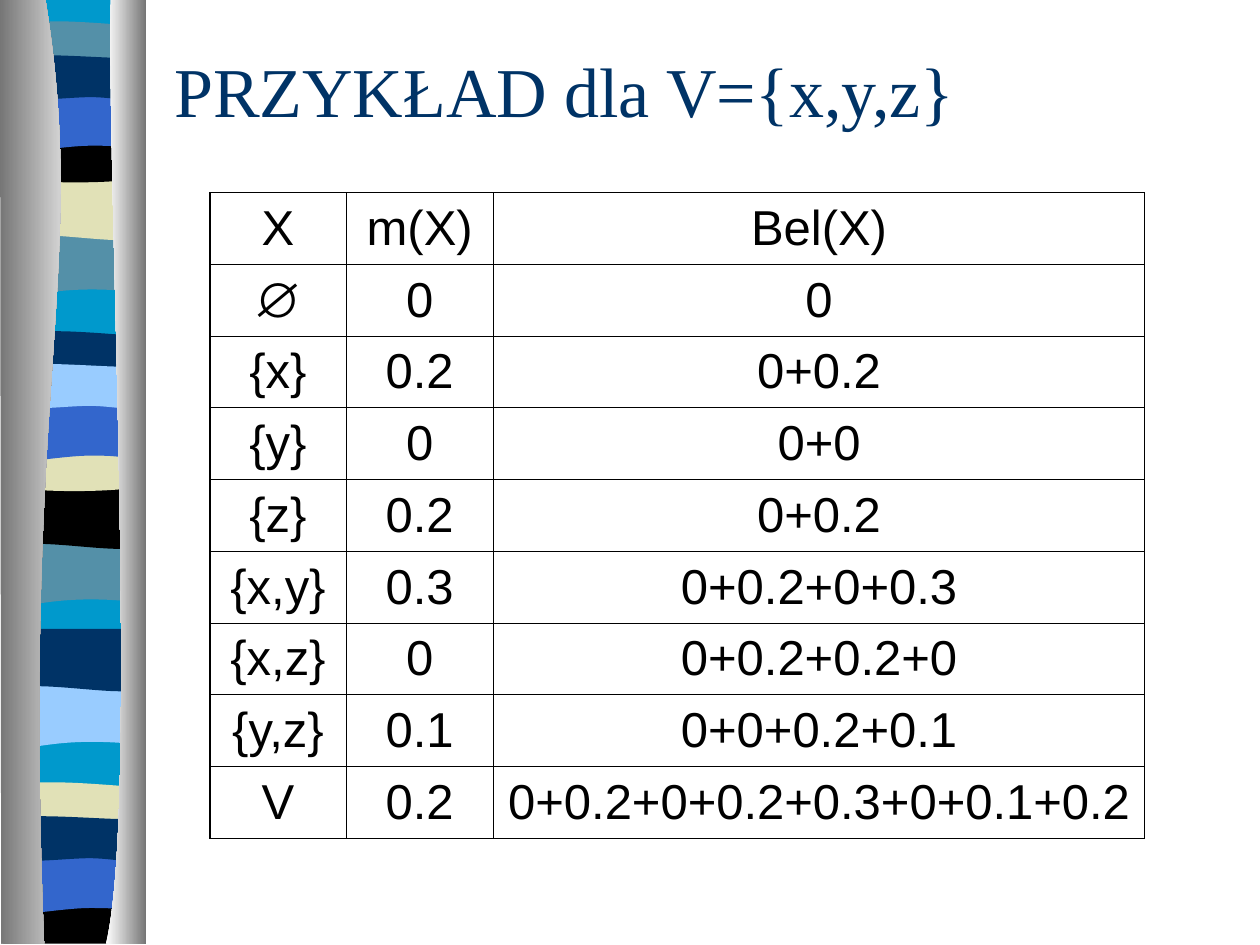
from lxml import etree
from pptx import Presentation
from pptx.dml.color import RGBColor
from pptx.enum import text
from pptx.oxml import ns
from pptx.util import Pt

BLACK = RGBColor(0x00, 0x00, 0x00)
WHITE = RGBColor(0xFF, 0xFF, 0xFF)
GREY = RGBColor(0x76, 0x76, 0x76)
NAVY = RGBColor(0x00, 0x33, 0x66)
BLUE = RGBColor(0x33, 0x66, 0xCC)
CYAN = RGBColor(0x00, 0x99, 0xCC)
SKY = RGBColor(0x99, 0xCC, 0xFF)
TEAL = RGBColor(0x54, 0x90, 0xA8)
SAND = RGBColor(0xE1, 0xE1, 0xB7)

THICK, THIN = 1.08, 0.45

# Each outline starts at its first point; a 2-tuple is a line, a 6-tuple a cubic curve.
W = 77.8
BOWL_TOP = (47.5, 3.6, 61.2, 0, W, 0)
OUTLINES = {
    "base": [(W, 0), (W, 538.6), (0, 538.6), (0, 0)],
    "wave": [(W, 0), (W, 34), (23.8, 28, 13, 39.6, 0, 34), (0, 0)],
    "sag": [(W, 0), (W, 34), (64.8, 39.6, 23.8, 29.5, 0, 34), (0, 0)],
    "ribbon": [(W, 3.6), (W, 21), (64.8, 24, 13, 24, 0, 21), (0, 3.6),
               (4.3, 0, 16.6, 0.7, 29.5, 0.7), (42.5, 0.7, 67.7, 2.9, W, 3.6)],
    "bowl": [(W, 0), (W, 23.4), (64.8, 27.4, 13, 27.4, 0, 23.4), (0, 0), BOWL_TOP],
    "arch": [(W, 0), (W, 34), (65.5, 30, 60.5, 30, 47.5, 30),
             (34.6, 30, 11.5, 34, 0, 34), (0, 0)],
    "swell": [(W, 3.6), (W, 26), (72.7, 29.5, 60.5, 26, 47.5, 26),
              (34.6, 26, 7.9, 29.5, 0, 26), (0, 3.6),
              (10.8, 0, 52.6, 3.6, 65.5, 3.6), (78.5, 3.6, 74.9, 3.6, W, 3.6)],
    "foot": [(W, 0), (W, 26.7), (0, 26.7), (0, 0), BOWL_TOP],
}

# Left offset of each group, then its bands from back to front.
BAND_GROUPS = [
    (4.3, [("base", -0.7, CYAN), ("wave", 133.2, TEAL), ("sag", 101.5, SAND),
           ("ribbon", 11.5, TEAL), ("bowl", 77.8, BLACK), ("arch", 53.3, BLUE),
           ("swell", 29.5, NAVY)]),
    (3.6, [("wave", 310.3, TEAL), ("sag", 277.9, BLACK), ("ribbon", 188.6, NAVY),
           ("bowl", 254.2, SAND), ("arch", 230.4, BLUE), ("swell", 205.9, SKY)]),
    (4.3, [("wave", 391.7, SKY), ("sag", 359.3, NAVY)]),
    (3.6, [("ribbon", 446.4, SAND), ("foot", 512.6, BLACK),
           ("arch", 488.9, BLUE), ("swell", 464.4, NAVY)]),
]

LEFT_EDGE = [(25.9, 0), (51.1, 156, 12.2, 213.8, 25.2, 540), (0.7, 540), (0, 0)]
RIGHT_EDGE = [(63.4, 0), (60.5, 90.7, 79.9, 465.8, 60.5, 540), (83.5, 540), (83.5, 0)]

ROWS = [
    ("X", "m(X)", "Bel(X)"),
    ("∅", "0", "0"),
    ("{x}", "0.2", "0+0.2"),
    ("{y}", "0", "0+0"),
    ("{z}", "0.2", "0+0.2"),
    ("{x,y}", "0.3", "0+0.2+0+0.3"),
    ("{x,z}", "0", "0+0.2+0.2+0"),
    ("{y,z}", "0.1", "0+0+0.2+0.1"),
    ("V", "0.2", "0+0.2+0+0.2+0.3+0+0.1+0.2"),
]
COLUMN_SHARES = (1.08, 1.17, 5.17)


def add_outline(page, outline, left, top):
    """Draw a closed outline; the lines through a curve's handles become one curve."""
    points = [(Pt(left + x), Pt(top + y))
              for segment in outline for x, y in zip(segment[::2], segment[1::2])]
    builder = page.shapes.build_freeform(*points[0], scale=1.0)
    builder.add_line_segments(points[1:], close=True)
    shape = builder.convert_to_shape()
    lines = iter(list(shape._element.iter(ns.qn("a:lnTo"))))
    for segment in outline[1:]:
        line = next(lines)
        if len(segment) == 6:
            line.addprevious(curve := etree.Element(ns.qn("a:cubicBezTo")))
            for handle in (line, next(lines), next(lines)):
                curve.append(handle[0])
                handle.getparent().remove(handle)
    shape.shadow.inherit = False
    shape.line.fill.background()
    return shape


def shade_across(shape, start, end):
    shape.fill.gradient()
    shape.fill.gradient_angle = 0
    for stop, position, color in zip(shape.fill.gradient_stops, (0, 1), (start, end)):
        stop.position = position
        stop.color.rgb = color


def add_ribbon(page, left, top):
    """Striped column between two shaded, curved edges."""
    for offset, bands in BAND_GROUPS:
        for kind, band_top, color in bands:
            band = add_outline(page, OUTLINES[kind], left + offset, top + band_top)
            band.fill.solid()
            band.fill.fore_color.rgb = color
    shade_across(add_outline(page, LEFT_EDGE, left, top - 0.7), GREY, WHITE)
    shade_across(add_outline(page, RIGHT_EDGE, left, top - 0.7), WHITE, GREY)


def add_span(para, words, size, face, color):
    span = para.add_run()
    span.text = words
    span.font.size = Pt(size)
    span.font.name = face
    span.font.color.rgb = color


def add_title(page, left, top, width, height):
    box = page.shapes.add_textbox(Pt(left), Pt(top), Pt(width), Pt(height))
    frame = box.text_frame
    frame.word_wrap = True
    frame.vertical_anchor = text.MSO_ANCHOR.MIDDLE
    add_span(frame.paragraphs[0], "PRZYKŁAD dla V={x,y,z}", 40, "Times New Roman", NAVY)


def set_borders(cell, widths):
    """Draw black sides; widths are left, right, top, bottom."""
    properties = cell._tc.get_or_add_tcPr()
    for side, width in zip("LRTB", widths):
        line = etree.SubElement(properties, ns.qn(f"a:ln{side}"), w=str(Pt(width)))
        fill = etree.SubElement(line, ns.qn("a:solidFill"))
        etree.SubElement(fill, ns.qn("a:srgbClr"), val=str(BLACK))


def add_belief_table(page, left, top, width, height):
    table = page.shapes.add_table(len(ROWS), len(COLUMN_SHARES), Pt(left), Pt(top),
                                  Pt(width), Pt(height)).table
    table.first_row = table.horz_banding = False
    for column, share in zip(table.columns, COLUMN_SHARES):
        column.width = Pt(width * share / sum(COLUMN_SHARES))
    for r, values in enumerate(ROWS):
        table.rows[r].height = Pt(height / len(ROWS))
        for c, value in enumerate(values):
            cell = table.cell(r, c)
            set_borders(cell, (THIN if c else THICK, THIN, THIN, THIN))
            cell.fill.background()
            cell.vertical_anchor = text.MSO_ANCHOR.MIDDLE
            para = cell.text_frame.paragraphs[0]
            para.alignment = text.PP_ALIGN.CENTER
            add_span(para, value, 28, "Arial", BLACK)


def main():
    deck = Presentation()
    deck.slide_width, deck.slide_height = Pt(720), Pt(540)
    page = deck.slides.add_slide(deck.slide_layouts[6])
    add_ribbon(page, 0, 0)
    add_title(page, 92.5, 6.2, 612, 90)
    add_belief_table(page, 120, 110, 534.2, 369)
    deck.save("out.pptx")


if __name__ == "__main__":
    main()
